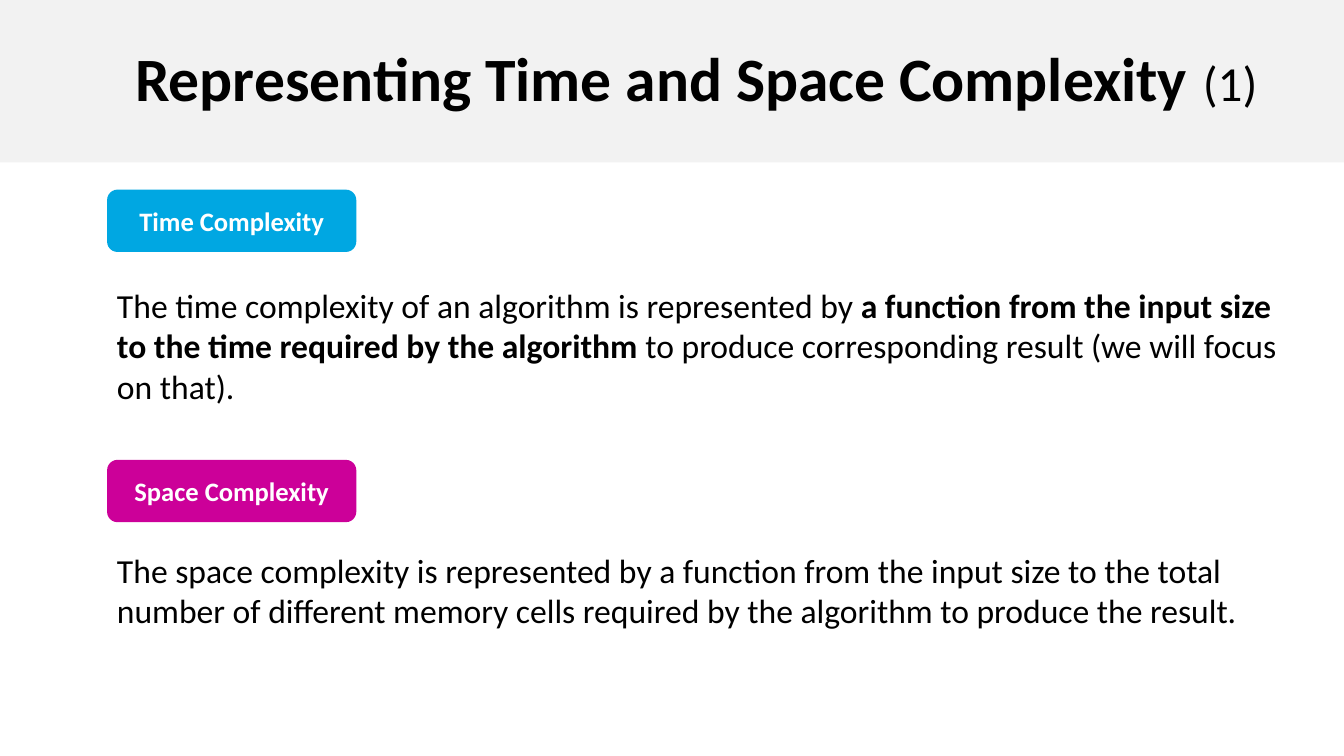
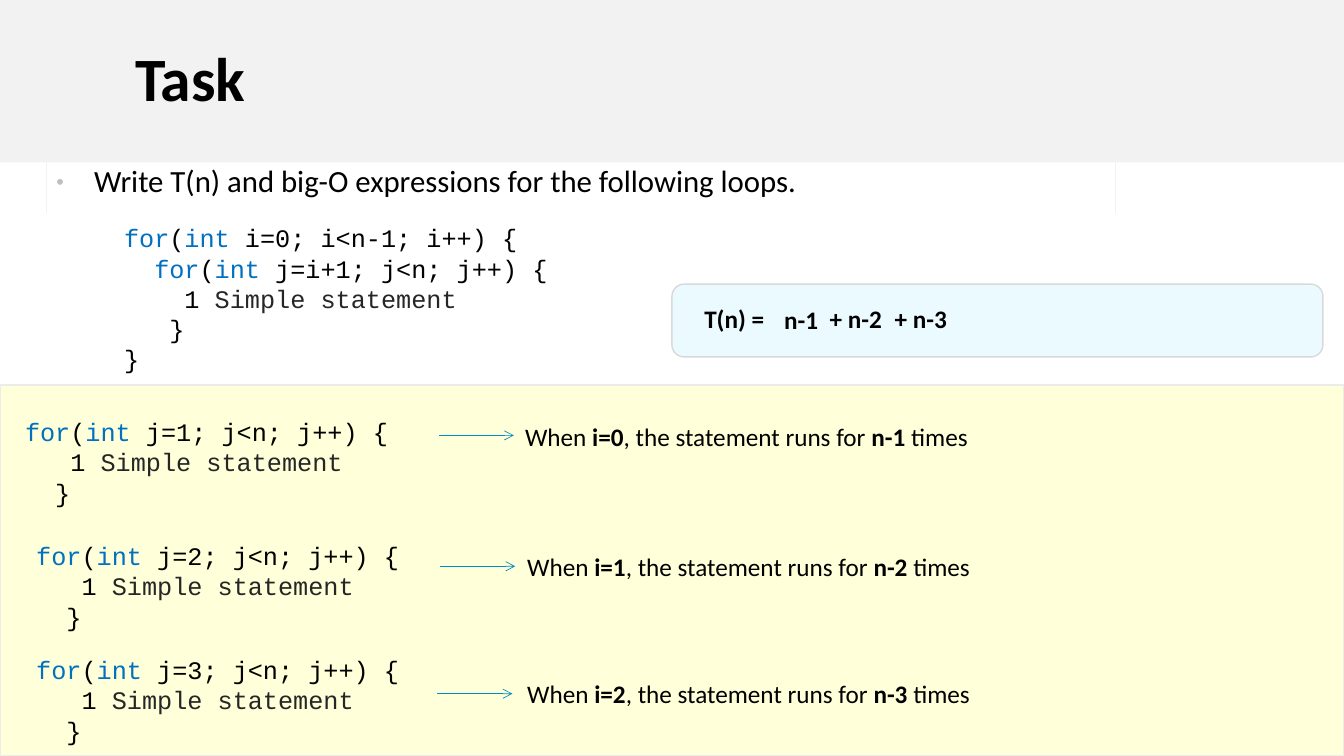
from dataclasses import dataclass
from typing import NamedTuple

from lxml.etree import SubElement
from pptx import Presentation
from pptx.dml.color import RGBColor
from pptx.enum.shapes import MSO_CONNECTOR, MSO_SHAPE
from pptx.enum.text import MSO_ANCHOR, MSO_AUTO_SIZE, PP_ALIGN
from pptx.oxml import parse_xml
from pptx.oxml.ns import nsdecls, qn
from pptx.util import Pt

SLIDE_WIDTH, SLIDE_HEIGHT = 960, 540
BAND_HEIGHT = 116
BLACK, WHITE, BAND = "000000", "FFFFFF", "F2F2F2"
KEYWORD, STATEMENT, ARROW = "0070C0", "262626", "008EC0"
BODY_FONT, CODE_FONT = "Calibri", "Courier New"


class Box(NamedTuple):
    left: float
    top: float
    width: float
    height: float


class Run(NamedTuple):
    text: str
    bold: bool = False
    color: str = BLACK
    size: float | None = None


Line = list[Run]


@dataclass
class Section:
    label: str
    color: str
    label_top: float
    text_box: Box
    text: Line


@dataclass
class Step:
    """One pass of the outer loop: its code, an arrow and the count."""
    i: int
    code_left: float
    code_top: float
    arrow_left: float
    arrow_top: float
    note_left: float
    note_top: float


SECTIONS = [
    Section("Time Complexity", "00A7E2", 135.5, Box(76.5, 200, 856, 94), [
        Run("The time complexity of an algorithm is represented by "),
        Run("a function from the input size to the time required by the algorithm ", True),
        Run("to produce corresponding result (we will focus on that).")]),
    Section("Space Complexity", "CC0099", 328.5, Box(76.5, 389, 856, 65), [
        Run("The space complexity is represented by a function from the input size "
            "to the total number of different memory cells required by the "
            "algorithm to produce the result.")]),
]

STEPS = [
    Step(0, 0, 294, 313.5, 311, 368, 297.5),
    Step(1, 8, 382.5, 314.5, 404.5, 369.5, 390),
    Step(2, 8, 464, 312.5, 495.5, 369.5, 481),
]

TERMS = [
    ("T(n) =", Box(496, 213, 61, 29)),
    ("n-1", Box(553, 214, 39, 29)),
    ("+ n-2", Box(585.5, 213, 52, 29)),
    ("+ n-3", Box(632, 213, 52, 29)),
]


def rgb(color: str) -> RGBColor:
    return RGBColor.from_string(color)


def points(box: Box) -> list[Pt]:
    return [Pt(length) for length in box]


def write(frame, lines: list[Line], size: float, font: str = BODY_FONT,
          align: PP_ALIGN = PP_ALIGN.LEFT, spacing: float = 1.0) -> None:
    for index, line in enumerate(lines):
        paragraph = frame.add_paragraph() if index else frame.paragraphs[0]
        paragraph.alignment = align
        paragraph.line_spacing = spacing
        for part in line:
            run = paragraph.add_run()
            run.text = part.text
            formats = {"name": font, "size": Pt(part.size or size), "bold": part.bold}
            for attribute, value in formats.items():
                setattr(run.font, attribute, value)
            run.font.color.rgb = rgb(part.color)


def add_text(slide, box: Box, lines: list[Line], size: float,
             font: str = BODY_FONT, wrap: bool = True) -> None:
    frame = slide.shapes.add_textbox(*points(box)).text_frame
    frame.word_wrap = wrap
    frame.auto_size = MSO_AUTO_SIZE.SHAPE_TO_FIT_TEXT
    write(frame, lines, size, font)


def add_panel(slide, box: Box, fill: str, outline: str | None = None,
              kind: MSO_SHAPE = MSO_SHAPE.RECTANGLE):
    panel = slide.shapes.add_shape(kind, *points(box))
    panel.shadow.inherit = False
    panel.fill.solid()
    panel.fill.fore_color.rgb = rgb(fill)
    if outline:
        panel.line.color.rgb = rgb(outline)
        panel.line.width = Pt(1)
    else:
        panel.line.fill.background()
    return panel


def add_titled_slide(deck, title: Line):
    slide = deck.slides.add_slide(deck.slide_layouts[6])
    frame = add_panel(slide, Box(0, 0, SLIDE_WIDTH, BAND_HEIGHT), BAND).text_frame
    frame.word_wrap = True
    frame.margin_left, frame.margin_right = Pt(96.5), Pt(0)
    frame.vertical_anchor = MSO_ANCHOR.MIDDLE
    write(frame, [title], 44, spacing=0.9)
    return slide


def add_section(slide, section: Section) -> None:
    label = add_panel(slide, Box(76.5, section.label_top, 178, 44.5), section.color,
                      kind=MSO_SHAPE.ROUNDED_RECTANGLE)
    label.text_frame.vertical_anchor = MSO_ANCHOR.MIDDLE
    write(label.text_frame, [[Run(section.label, True, WHITE)]], 19,
          align=PP_ALIGN.CENTER)
    add_text(slide, section.text_box, [section.text], 24)


def add_assignment(slide, text: str) -> None:
    """Bulleted one-cell table with thin side borders."""
    frame = slide.shapes.add_table(1, 1, *points(Box(33, 113, 764, 39)))
    frame.table.first_row = frame.table.horz_banding = False
    cell = frame.table.cell(0, 0)
    cell.fill.background()
    side = f'<a:solidFill><a:srgbClr val="{BAND}"/></a:solidFill>'
    borders = {"lnL": side, "lnR": side, "lnT": "<a:noFill/>", "lnB": "<a:noFill/>"}
    properties = cell._tc.get_or_add_tcPr()
    for position, (edge, paint) in enumerate(borders.items()):
        properties.insert(position, parse_xml(
            f'<a:{edge} {nsdecls("a")} w="{Pt(0.45)}">{paint}</a:{edge}>'))
    bullet = cell.text_frame.paragraphs[0]._p.get_or_add_pPr()
    bullet.set("marL", str(Pt(27)))
    bullet.set("indent", str(-Pt(27)))
    SubElement(SubElement(bullet, qn("a:buClr")), qn("a:srgbClr"), val="BFBFBF")
    SubElement(bullet, qn("a:buSzPct"), val="70000")
    SubElement(bullet, qn("a:buFont"), typeface="Arial")
    SubElement(bullet, qn("a:buChar"), char="•")
    write(cell.text_frame, [[Run(text)]], 22)


def add_arrow(slide, left: float, top: float, length: float) -> None:
    arrow = slide.shapes.add_connector(
        MSO_CONNECTOR.STRAIGHT, Pt(left), Pt(top), Pt(left + length), Pt(top))
    arrow.line.color.rgb = rgb(ARROW)
    arrow.line.width = Pt(0.5)
    SubElement(arrow.line._get_or_add_ln(), qn("a:tailEnd"), type="arrow")
    SubElement(arrow._element.spPr, qn("a:effectLst"))


def loop_head(indent: str, condition: str) -> Line:
    return [Run(indent), Run("for", color=KEYWORD), Run("("),
            Run("int", color=KEYWORD), Run(f" {condition}) {{")]


def loop_body() -> list[Line]:
    return [[Run("    1 "), Run("Simple statement", color=STATEMENT)], [Run("   }")]]


def add_step(slide, step: Step) -> None:
    start = step.i + 1
    code = [loop_head(" ", f"j={start}; j<n; j++"), *loop_body()]
    add_text(slide, Box(step.code_left, step.code_top, 313, 72), code, 18, CODE_FONT)
    add_arrow(slide, step.arrow_left, step.arrow_top, 53.5)
    note = [Run("When"), Run(f" i={step.i}", True), Run(", the statement runs for "),
            Run(f"n-{start} ", True), Run("times")]
    add_text(slide, Box(step.note_left, step.note_top, 332, 29), [note], 18, wrap=False)


def build_complexity_slide(deck) -> None:
    slide = add_titled_slide(deck, [
        Run("Representing Time and Space Complexity ", True), Run("(1)", size=35)])
    for section in SECTIONS:
        add_section(slide, section)


def build_task_slide(deck) -> None:
    slide = add_titled_slide(deck, [Run("Task", True)])
    add_assignment(slide, "Write T(n) and big-O expressions for the following loops.")
    nested_loops = [loop_head("", "i=0; i<n-1; i++"), loop_head("  ", "j=i+1; j<n; j++"),
                    *loop_body(), [Run("}")]]
    add_text(slide, Box(81.5, 155.5, 480, 115), nested_loops, 18, CODE_FONT)
    add_panel(slide, Box(0, 275, SLIDE_WIDTH, 265), "FFFFD9", "ECECEC")
    for step in STEPS:
        add_step(slide, step)
    add_panel(slide, Box(480, 203, 465, 52), "EBFAFF", "D9D9D9",
              MSO_SHAPE.ROUNDED_RECTANGLE)
    for term, box in TERMS:
        add_text(slide, box, [[Run(term, True)]], 18, wrap=False)


def main() -> None:
    deck = Presentation()
    deck.slide_width, deck.slide_height = Pt(SLIDE_WIDTH), Pt(SLIDE_HEIGHT)
    build_complexity_slide(deck)
    build_task_slide(deck)
    deck.save("out.pptx")


if __name__ == "__main__":
    main()
